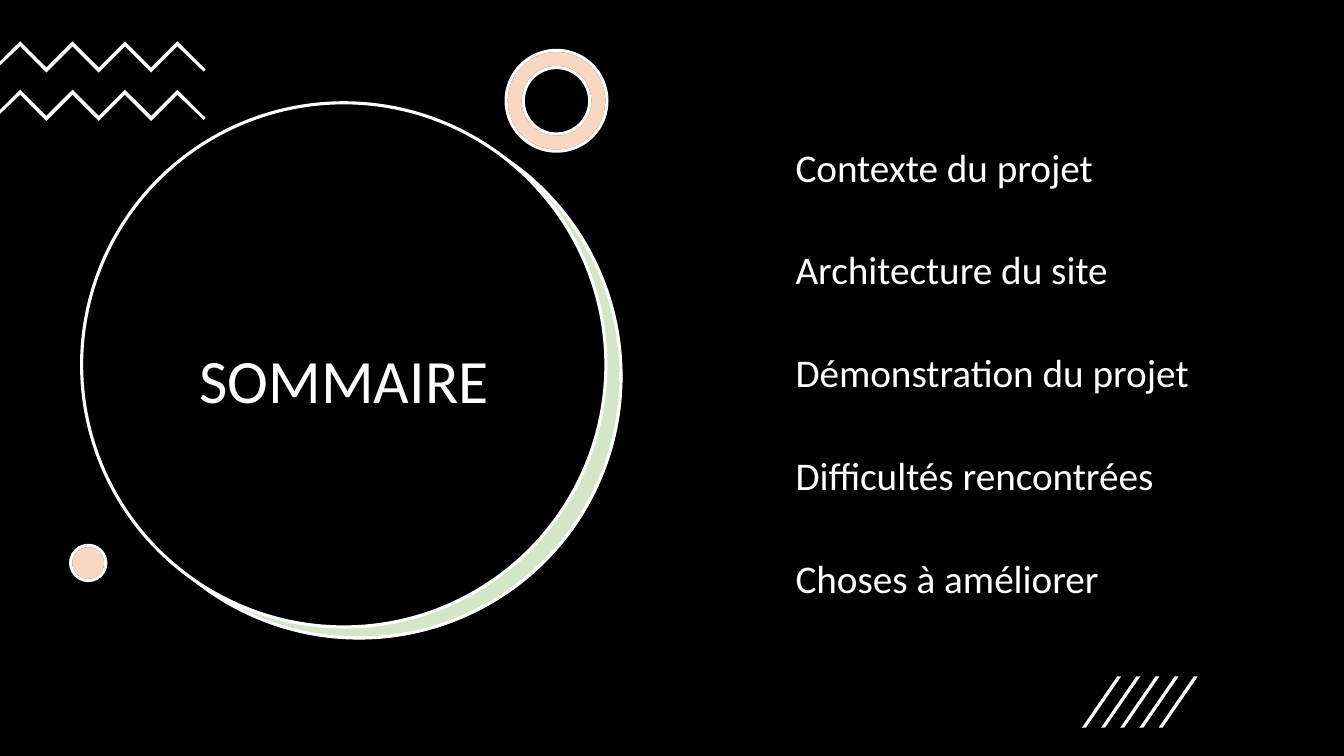
from dataclasses import dataclass

from lxml.etree import SubElement
from pptx import Presentation
from pptx.dml.color import RGBColor
from pptx.enum.shapes import MSO_SHAPE as Shape
from pptx.enum.text import MSO_ANCHOR as Anchor, MSO_AUTO_SIZE as AutoSize, PP_ALIGN as Align
from pptx.oxml.ns import qn
from pptx.util import Inches, Pt

TITLE = "SOMMAIRE"
TOPICS = [
    "Contexte du projet",
    "Architecture du site",
    "Démonstration du projet",
    "Difficultés rencontrées",
    "Choses à améliorer",
]


@dataclass(frozen=True)
class Theme:
    font: str = "Calibri"
    title_size: float = 44
    topic_size: float = 28
    line_width: float = 2.25
    tint: int = 30
    black: str = "000000"
    white: str = "FFFFFF"
    green: str = "70AD47"
    orange: str = "ED7D31"


THEME = Theme()

# left, top, diameter, fill, opacity in percent, line
DISCS = [
    (0.97, 1.14, 5.2, THEME.white, 100, None),
    (0.96, 1.13, 5.2, THEME.green, THEME.tint, THEME.white),
    (0.81, 1.02, 5.2, THEME.black, 100, THEME.white),
]
# kind, left, top, diameter
ACCENTS = [(Shape.DONUT, 5.02, 0.5, 1), (Shape.OVAL, 0.7, 5.41, 0.35)]
ACCENT_LAYERS = [
    (THEME.white, 100, THEME.black),
    (THEME.orange, THEME.tint, THEME.white),
]
RING_THICKNESS = 0.17

ZIGZAG_TOPS = [0.41, 0.89]
ZIGZAG_START, ZIGZAG_STEP, ZIGZAG_TURNS = 0.2, 0.26, 7
ZIGZAG_BAND = 0.05

SLASH_COUNT, SLASH_LEFT, SLASH_TOP, SLASH_PITCH = 5, 10.73, 6.71, 0.19
SLASH_WIDTH, SLASH_HEIGHT, SLASH_SLANT = 0.39, 0.51, 0.9


def rgb(color):
    return RGBColor.from_string(color)


def paint(sp, fill, opacity=100, line=None):
    sp.shadow.inherit = False
    sp.fill.solid()
    sp.fill.fore_color.rgb = rgb(fill)
    if opacity < 100:
        color = sp.element.spPr.find(qn("a:solidFill"))[0]
        SubElement(color, qn("a:alpha")).set("val", str(opacity * 1000))
    if line:
        sp.line.color.rgb = rgb(line)
        sp.line.width = Pt(THEME.line_width)
    else:
        sp.line.fill.background()


def add_preset(shapes, kind, left, top, width, height, adjust=None, **style):
    sp = shapes.add_shape(kind, Inches(left), Inches(top), Inches(width), Inches(height))
    if adjust is not None:
        sp.adjustments[0] = adjust
    paint(sp, **style)


def write(sp, lines, size, align=Align.LEFT, anchor=Anchor.TOP, spacing=1.0, before=0):
    tf = sp.text_frame
    tf.word_wrap = True
    tf.auto_size = AutoSize.NONE
    tf.vertical_anchor = anchor
    for i, line in enumerate(lines):
        p = tf.paragraphs[0] if i == 0 else tf.add_paragraph()
        p.alignment = align
        p.line_spacing = spacing
        p.space_before = Pt(before if i else 0)
        r = p.add_run()
        r.text = line
        r.font.name = THEME.font
        r.font.size = Pt(size)
        r.font.color.rgb = rgb(THEME.white)


def add_zigzag(shapes, top):
    """Draw a band that starts at the slide edge and bends at equal steps."""
    turns = [
        (ZIGZAG_START + i * ZIGZAG_STEP, top + i % 2 * ZIGZAG_STEP)
        for i in range(ZIGZAG_TURNS)
    ]
    upper = [(0, top + 0.2), *turns, (2.04, top + 0.28)]
    lower = [(0, top + 0.24), *((x, y + ZIGZAG_BAND) for x, y in turns), (2.02, top + 0.3)]
    points = [(Inches(x), Inches(y)) for x, y in upper + lower[::-1]]
    outline = shapes.build_freeform(*points[0])
    outline.add_line_segments(points[1:], close=True)
    paint(outline.convert_to_shape(), THEME.white)


def main():
    prs = Presentation()
    prs.slide_width, prs.slide_height = Inches(13.33), Inches(7.5)
    s = prs.slides.add_slide(prs.slide_layouts.get_by_name("Title Only"))
    s.background.fill.solid()
    s.background.fill.fore_color.rgb = rgb(THEME.black)

    for left, top, size, fill, opacity, line in DISCS:
        add_preset(s.shapes, Shape.OVAL, left, top, size, size,
                   fill=fill, opacity=opacity, line=line)

    title = s.shapes.title
    title.element.getparent().append(title.element)  # in front of the discs
    title.left, title.top = Inches(1.21), Inches(2.05)
    title.width, title.height = Inches(4.41), Inches(3.52)
    write(title, [TITLE], THEME.title_size, align=Align.CENTER,
          anchor=Anchor.MIDDLE, spacing=0.9)

    zigzags = s.shapes.add_group_shape()
    for top in ZIGZAG_TOPS:
        add_zigzag(zigzags.shapes, top)

    for kind, left, top, size in ACCENTS:
        adjust = RING_THICKNESS / size if kind == Shape.DONUT else None
        for fill, opacity, line in ACCENT_LAYERS:
            add_preset(s.shapes, kind, left, top, size, size, adjust,
                       fill=fill, opacity=opacity, line=line)

    topics = s.shapes.add_textbox(Inches(7.54), Inches(1.46), Inches(5.71), Inches(4.88))
    topics.text_frame.margin_left = Inches(0.35)
    write(topics, TOPICS, THEME.topic_size, spacing=0.8, before=46.5)

    slashes = s.shapes.add_group_shape()
    for i in range(SLASH_COUNT):
        add_preset(slashes.shapes, Shape.PARALLELOGRAM, SLASH_LEFT + i * SLASH_PITCH,
                   SLASH_TOP, SLASH_WIDTH, SLASH_HEIGHT, SLASH_SLANT, fill=THEME.white)

    prs.save("out.pptx")


if __name__ == "__main__":
    main()
